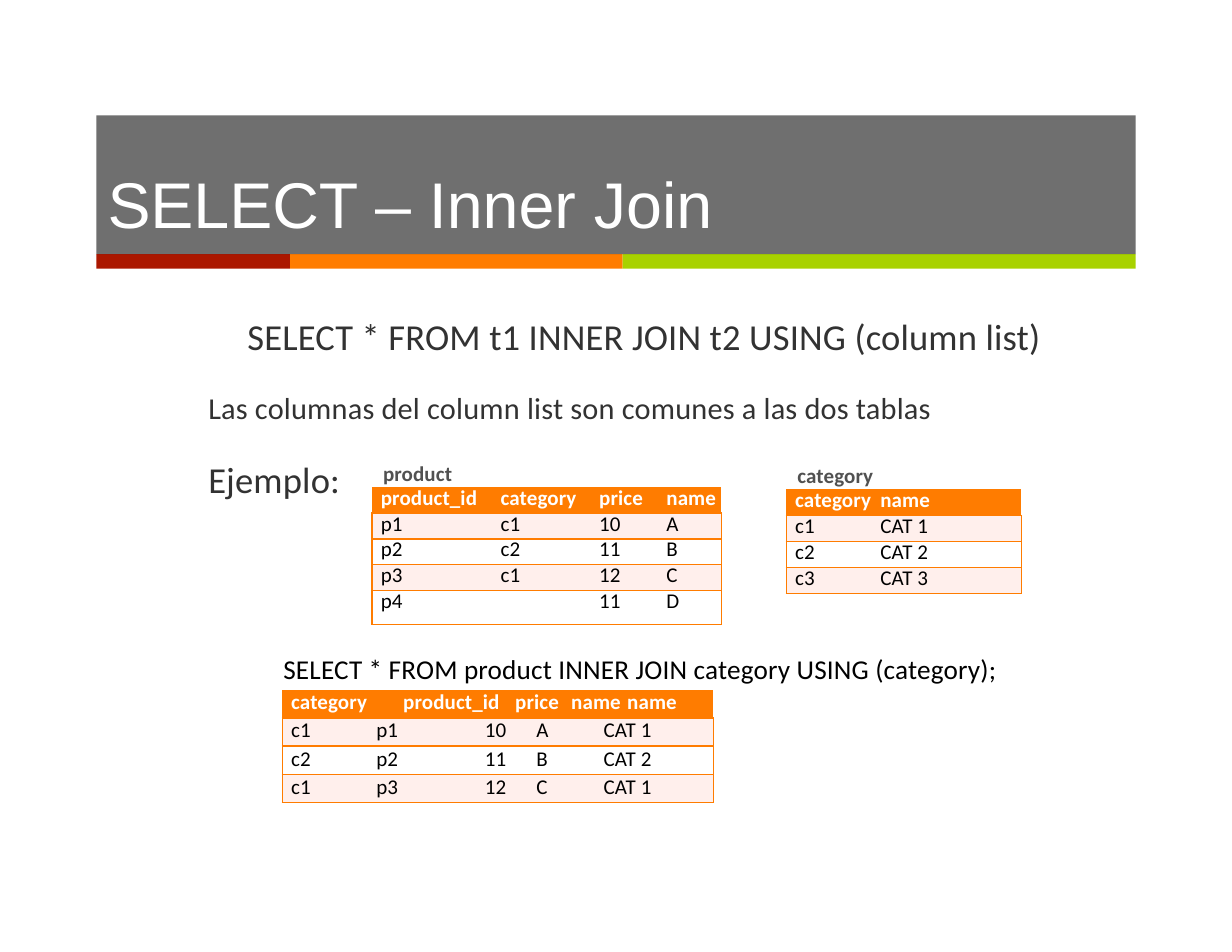
import pptx
import pptx.util
import pptx.oxml.ns
import pptx.oxml.xmlchemy
import pptx.dml.color
import pptx.enum.shapes
import pptx.enum.text

Pt = pptx.util.Pt
COLS, ROWS = 110, 85
ORANGE, PALE, DARK = "FF7C00", "FFEFEC", "323232"
PLAIN = "{2D5ABB26-0587-4C30-8999-92F81FD0307C}"


def color(code):
    return pptx.dml.color.RGBColor.from_string(code)


def node(parent, tag, **attrs):
    child = pptx.oxml.xmlchemy.OxmlElement(tag)
    for key, value in attrs.items():
        child.set(key, str(value))
    parent.append(child)
    return child


def write(para, text, size=13.5, ink="000000", font="Calibri", bold=False,
          track=10, indent=0, before=0, line=None, tabs=()):
    props = para._p.get_or_add_pPr()
    props.set("marL", str(int(indent)))
    props.set("indent", "0")
    para.space_before = Pt(before)
    if line:
        para.line_spacing = Pt(line)
    if tabs:
        stops = node(props, "a:tabLst")
        for stop in tabs:
            node(stops, "a:tab", pos=int(stop), algn="l")
    if text:
        run = para.add_run()
        run.text = text
        run.font.size = Pt(size)
        run.font.name = font
        run.font.bold = bold
        run.font.color.rgb = color(ink)
        run._r.get_or_add_rPr().set("spc", str(track))


class Deck:
    def __init__(self, wide, high):
        self.show = pptx.Presentation()
        self.show.slide_width = pptx.util.Inches(wide)
        self.show.slide_height = pptx.util.Inches(high)
        self.slide = self.show.slides.add_slide(self.show.slide_layouts[6])

    def x(self, cols):
        return round(self.show.slide_width * cols / COLS)

    def y(self, rows):
        return round(self.show.slide_height * rows / ROWS)

    def area(self, left, top, wide, high):
        return self.x(left), self.y(top), self.x(wide), self.y(high)

    def bar(self, box, fill, alpha=None):
        kind = pptx.enum.shapes.MSO_SHAPE.RECTANGLE
        shape = self.slide.shapes.add_shape(kind, *self.area(*box))
        shape.shadow.inherit = False
        shape.fill.solid()
        shape.fill.fore_color.rgb = color(fill)
        shape.line.fill.background()
        if alpha:
            tone = shape._element.spPr.find(".//" + pptx.oxml.ns.qn("a:srgbClr"))
            node(tone, "a:alpha", val=alpha * 1000)
        return shape

    def fill(self, shape, paras, inset=0.2):
        frame = shape.text_frame
        frame.word_wrap = True
        frame.vertical_anchor = pptx.enum.text.MSO_ANCHOR.TOP
        frame.margin_left = frame.margin_right = frame.margin_bottom = 0
        frame.margin_top = self.y(inset)
        for n, (text, form) in enumerate(paras):
            para = frame.add_paragraph() if n else frame.paragraphs[0]
            para.alignment = pptx.enum.text.PP_ALIGN.LEFT
            form = {"indent": 0.1, **form}
            form["indent"] = self.x(form["indent"])
            write(para, text, **form)

    def text(self, box, *paras):
        self.fill(self.slide.shapes.add_textbox(*self.area(*box)), paras)

    def edge(self, cell, sides):
        props = cell._tc.get_or_add_tcPr()
        for side in sides:
            line = node(props, "a:ln" + side, w=12700)
            tone = node(line, "a:solidFill")
            node(tone, "a:srgbClr", val=ORANGE)

    def table(self, left, top, wides, high, data, pads, line=None, tabs=()):
        box = self.area(left, top, sum(wides), high * len(data))
        grid = self.slide.shapes.add_table(len(data), len(wides), *box).table
        grid.first_row = grid.horz_banding = False
        grid._tbl.tblPr.find(pptx.oxml.ns.qn("a:tableStyleId")).text = PLAIN
        for col, wide in zip(grid.columns, wides):
            col.width = self.x(wide)
        if tabs:
            grid.cell(0, 0).merge(grid.cell(0, len(wides) - 1))
        for r, words in enumerate(data):
            grid.rows[r].height = self.y(high)
            for c, word in enumerate(words):
                cell = grid.cell(r, c)
                cell.margin_left = cell.margin_right = 0
                cell.margin_top = cell.margin_bottom = 0
                if r:
                    last = c == len(words) - 1
                    self.edge(cell, ("L" if c == 0 else "") + ("R" if last else "") + "TB")
                if r % 2 or not r:
                    cell.fill.solid()
                    cell.fill.fore_color.rgb = color(PALE if r else ORANGE)
                else:
                    cell.fill.background()
                write(cell.text_frame.paragraphs[0], word, bold=not r,
                      ink="000000" if r else "FFFFFF", indent=self.x(pads[c]),
                      before=0.3, line=line,
                      tabs=() if r else [self.x(t) for t in tabs])


deck = Deck(11, 8.5)

left = 8.6
for wide, tone in ((17.3, "AB1700"), (29.7, ORANGE), (45.8, "A8D200")):
    deck.bar((left, 22.7, wide, 1.3), tone)
    left += wide

title = deck.bar((8.6, 10.3, 92.8, 12.4), DARK, alpha=70)
deck.fill(title, [("SELECT – Inner Join", dict(
    size=41.5, ink="FFFFFF", font="Arial", track=0, indent=1))], inset=4.3)

big = dict(size=23.5, ink=DARK, before=1.2)
deck.text((18.5, 27.8, 74.6, 10.3),
          ("SELECT * FROM t1 INNER JOIN t2 USING (column list)", {**big, "indent": 3.6}),
          ("Las columnas del column list son comunes a las dos tablas",
           dict(size=19.5, ink=DARK, before=20.4)))
deck.text((18.5, 40.6, 12, 4.2), ("Ejemplo:", big))

label = dict(ink="515151", bold=True, before=1.4)
deck.text((34.1, 40.9, 6.5, 2.6), ("product", label))
deck.text((71.1, 41.1, 7.2, 2.6), ("category", label))
deck.text((25.2, 58, 64.2, 3.3),
          ("SELECT * FROM product INNER JOIN category USING (category);",
           dict(size=17.5, before=1.3)))

deck.table(33.2, 43.5, (10.5, 8.8, 6, 5.9), 2.31, [
    ("product_id", "category", "price", "name"),
    ("p1", "c1", "10", "A"),
    ("p2", "c2", "11", "B"),
    ("p3", "c1", "12", "C"),
    ("p4", "", "11", "D")], (0.8, 1, 1, 1), line=15.2)

deck.table(70.2, 43.7, (8, 13), 2.32, [
    ("category", "name"),
    ("c1", "CAT 1"),
    ("c2", "CAT 2"),
    ("c3", "CAT 3")], (0.8, 0.4), line=15.2)

deck.table(25.2, 61.6, (5.5, 8.7, 7.1, 5, 12.2), 2.51, [
    ("category\tproduct_id\tprice\tname\tname",),
    ("c1", "p1", "10", "A", "CAT 1"),
    ("c2", "p2", "11", "B", "CAT 2"),
    ("c1", "p3", "12", "C", "CAT 1")], (0.8, 2.9, 3.9, 1.4, 2.4),
    tabs=(7.6, 16.9, 21.6, 28.7))

deck.show.save("out.pptx")
